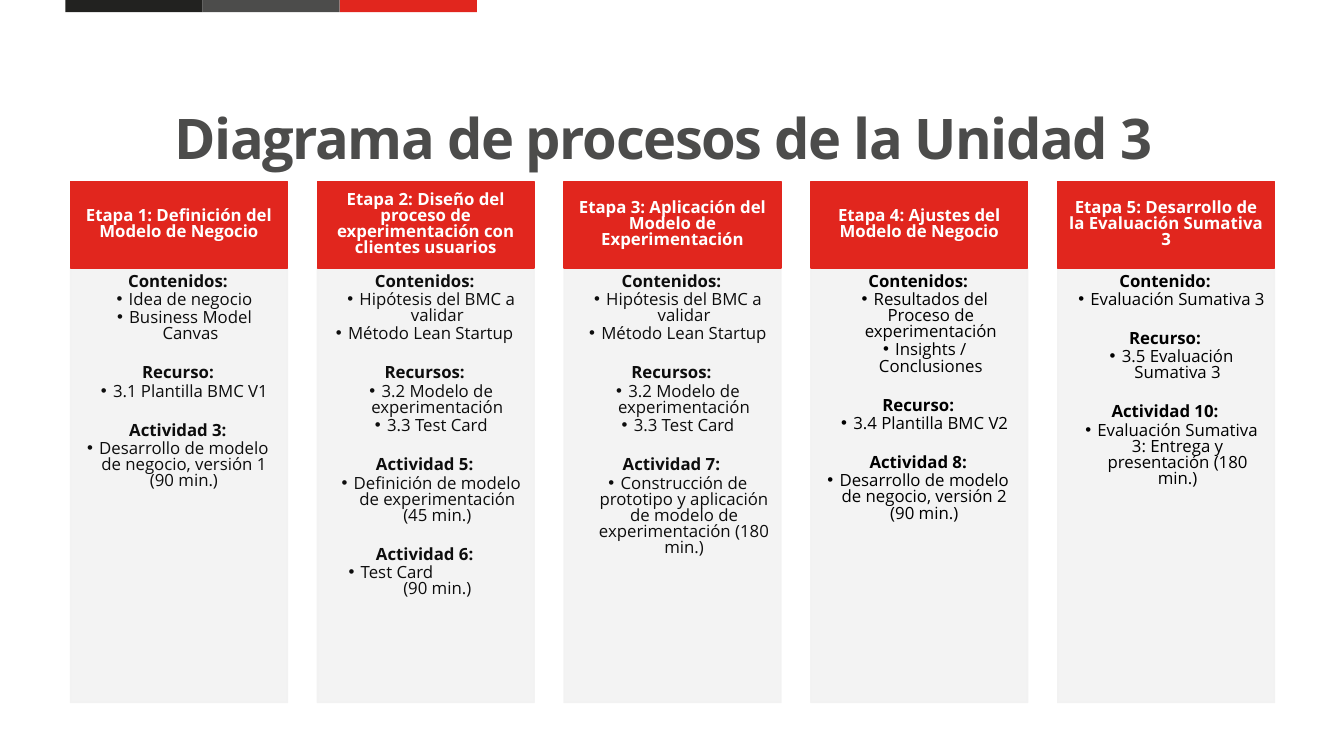
import dataclasses
import typing

import lxml.etree
import pptx
import pptx.dml.color
import pptx.enum.shapes
import pptx.enum.text
import pptx.oxml.ns
import pptx.util

Inches = pptx.util.Inches
Pt = pptx.util.Pt
ALIGN = pptx.enum.text.PP_ALIGN
ANCHOR = pptx.enum.text.MSO_ANCHOR
qn = pptx.oxml.ns.qn


@dataclasses.dataclass(frozen=True)
class Theme:
    font: str = "Open Sans"
    dark: str = "222220"
    gray: str = "4C4C4B"
    red: str = "E1261E"
    panel: str = "F2F2F2"
    white: str = "FFFFFF"
    ink: str = "0D0D0D"
    black: str = "000000"
    title_size: float = 40
    text_size: float = 12
    line_spacing: float = 0.8
    after: float = 1.6
    section_gap: float = 14.8


THEME = Theme()


@dataclasses.dataclass(frozen=True)
class Item:
    text: str
    indent: float = 0.25
    bullet: bool = True
    align: ALIGN = ALIGN.CENTER
    after: float = THEME.after


@dataclasses.dataclass(frozen=True)
class Section:
    heading: str
    items: tuple[Item, ...]


@dataclasses.dataclass(frozen=True)
class Stage:
    title: str
    sections: tuple[Section, ...]
    ink: str = THEME.ink


@dataclasses.dataclass(frozen=True)
class Box:
    left: float
    top: float
    width: float
    height: float


HYPOTHESIS = Item("Hipótesis del BMC a validar")
EXPERIMENT_RESOURCES = Section(
    "Recursos:", (Item("3.2 Modelo de experimentación"), Item("3.3 Test Card"))
)

STAGES = (
    Stage("Etapa 1: Definición del Modelo de Negocio", (
        Section("Contenidos:", (Item("Idea de negocio"), Item("Business Model Canvas"))),
        Section("Recurso:", (Item("3.1 Plantilla BMC V1"),)),
        Section("Actividad 3:", (
            Item("Desarrollo de modelo de negocio, versión 1 (90 min.)", 0.12),)),
    )),
    Stage("Etapa 2: Diseño del proceso de experimentación con clientes usuarios", (
        Section("Contenidos:", (HYPOTHESIS, Item("Método Lean Startup", 0.12))),
        EXPERIMENT_RESOURCES,
        Section("Actividad 5:", (
            Item("Definición de modelo de experimentación (45 min.)"),)),
        Section("Actividad 6:", (
            Item("Test Card", 0.36, align=ALIGN.LEFT, after=0),
            Item("(90 min.)", bullet=False))),
    )),
    Stage("Etapa 3: Aplicación del Modelo de Experimentación", (
        Section("Contenidos:", (HYPOTHESIS, Item("Método Lean Startup"))),
        EXPERIMENT_RESOURCES,
        Section("Actividad 7:", (
            Item("Construcción de prototipo y aplicación de modelo de "
                 "experimentación (180 min.)"),)),
    )),
    Stage("Etapa 4: Ajustes del Modelo de Negocio", (
        Section("Contenidos:", (
            Item("Resultados del Proceso de experimentación"),
            Item("Insights / Conclusiones"))),
        Section("Recurso:", (Item("3.4 Plantilla BMC V2"),)),
        Section("Actividad 8:", (
            Item("Desarrollo de modelo de negocio, versión 2 (90 min.)", 0.12),)),
    ), THEME.black),
    Stage("Etapa 5: Desarrollo de la Evaluación Sumativa 3", (
        Section("Contenido:", (Item("Evaluación Sumativa 3"),)),
        Section("Recurso:", (Item("3.5 Evaluación Sumativa 3"),)),
        Section("Actividad 10:", (
            Item("Evaluación Sumativa 3: Entrega y presentación (180 min.)"),)),
    ), THEME.black),
)


def apply(target: typing.Any, values: dict[str, typing.Any]) -> None:
    for name, value in values.items():
        setattr(target, name, value)


def rgb(color: str) -> pptx.dml.color.RGBColor:
    return pptx.dml.color.RGBColor.from_string(color)


def add_run(p: typing.Any, text: str, color: str, bold: bool,
            size: float = THEME.text_size) -> typing.Any:
    r = p.add_run()
    r.text = text
    apply(r.font, {"name": THEME.font, "size": Pt(size), "bold": bold})
    r.font.color.rgb = rgb(color)
    return r


def add_panel(s: typing.Any, box: Box, color: str, outlined: bool = True,
              opacity: int = 100) -> typing.Any:
    lengths = (Inches(v) for v in dataclasses.astuple(box))
    sp = s.shapes.add_shape(pptx.enum.shapes.MSO_SHAPE.RECTANGLE, *lengths)
    sp.shadow.inherit = False
    sp.fill.solid()
    sp.fill.fore_color.rgb = rgb(color)
    if outlined:
        sp.line.width = Pt(1)
        sp.line.color.rgb = rgb(color)
    else:
        sp.line.fill.background()
    if opacity < 100:
        for clr in sp._element.spPr.iter(qn("a:srgbClr")):
            lxml.etree.SubElement(clr, qn("a:alpha"), val=str(opacity * 1000))
    return sp


def format_text(sp: typing.Any, anchor: ANCHOR, insets: tuple[float, ...]) -> typing.Any:
    tf = sp.text_frame
    apply(tf, {"word_wrap": True, "vertical_anchor": anchor})
    sides = ("margin_left", "margin_top", "margin_right", "margin_bottom")
    apply(tf, {side: Inches(v) for side, v in zip(sides, insets)})
    return tf


def add_item(p: typing.Any, item: Item, color: str, bold: bool = False,
             before: float = 0) -> None:
    apply(p, {"alignment": item.align, "line_spacing": THEME.line_spacing,
              "space_before": Pt(before), "space_after": Pt(item.after)})
    ppr = p._p.get_or_add_pPr()
    hanging = item.bullet or bold
    ppr.set("marL", str(Inches(item.indent)))
    ppr.set("indent", str(Inches(-0.12 if hanging else 0)))
    if item.bullet:
        lxml.etree.SubElement(ppr, qn("a:buFont"), typeface="Arial")
        lxml.etree.SubElement(ppr, qn("a:buChar"), char="•")
    else:
        lxml.etree.SubElement(ppr, qn("a:buNone"))
    add_run(p, item.text, color, bold)


def add_stage(s: typing.Any, stage: Stage, left: float) -> None:
    body = add_panel(s, Box(left, 2.65, 2.15, 4.32), THEME.panel, opacity=90)
    tf = format_text(body, ANCHOR.TOP, (0.07, 0.07, 0.09, 0.1))
    for i, section in enumerate(stage.sections):
        p = tf.add_paragraph() if i else tf.paragraphs[0]
        heading = Item(section.heading, 0.12, bullet=False)
        add_item(p, heading, stage.ink, True, THEME.section_gap if i else 0)
        for item in section.items:
            add_item(tf.add_paragraph(), item, stage.ink)

    header = add_panel(s, Box(left, 1.8, 2.15, 0.86), THEME.red)
    p = format_text(header, ANCHOR.MIDDLE, (0.09, 0.05, 0.09, 0.05)).paragraphs[0]
    apply(p, {"alignment": ALIGN.CENTER, "line_spacing": THEME.line_spacing})
    add_run(p, stage.title, THEME.white, True)


def add_title(s: typing.Any, text: str) -> None:
    sp = s.shapes.title
    apply(sp, {"left": Inches(1.63), "top": Inches(1.06),
               "width": Inches(10.08), "height": Inches(0.69)})
    tf = format_text(sp, ANCHOR.TOP, (0.1, 0.05, 0.1, 0.05))
    tf.auto_size = pptx.enum.text.MSO_AUTO_SIZE.NONE
    p = tf.paragraphs[0]
    apply(p, {"alignment": ALIGN.LEFT, "line_spacing": Pt(42), "space_before": Pt(0)})
    r = add_run(p, text, THEME.gray, True, THEME.title_size)
    r.font._element.set("spc", "-100")


def main() -> None:
    prs = pptx.Presentation()
    apply(prs, {"slide_width": Inches(13.33), "slide_height": Inches(7.5)})
    s = prs.slides.add_slide(prs.slide_layouts[5])
    for i, color in enumerate((THEME.dark, THEME.gray, THEME.red)):
        add_panel(s, Box(0.65 + i * 1.36, 0, 1.36, 0.12), color, outlined=False)
    add_title(s, "Diagrama de procesos de la Unidad 3")
    first, last = 0.7, 10.49
    pitch = (last - first) / (len(STAGES) - 1)
    for i, stage in enumerate(STAGES):
        add_stage(s, stage, first + i * pitch)
    prs.save("out.pptx")


if __name__ == "__main__":
    main()
